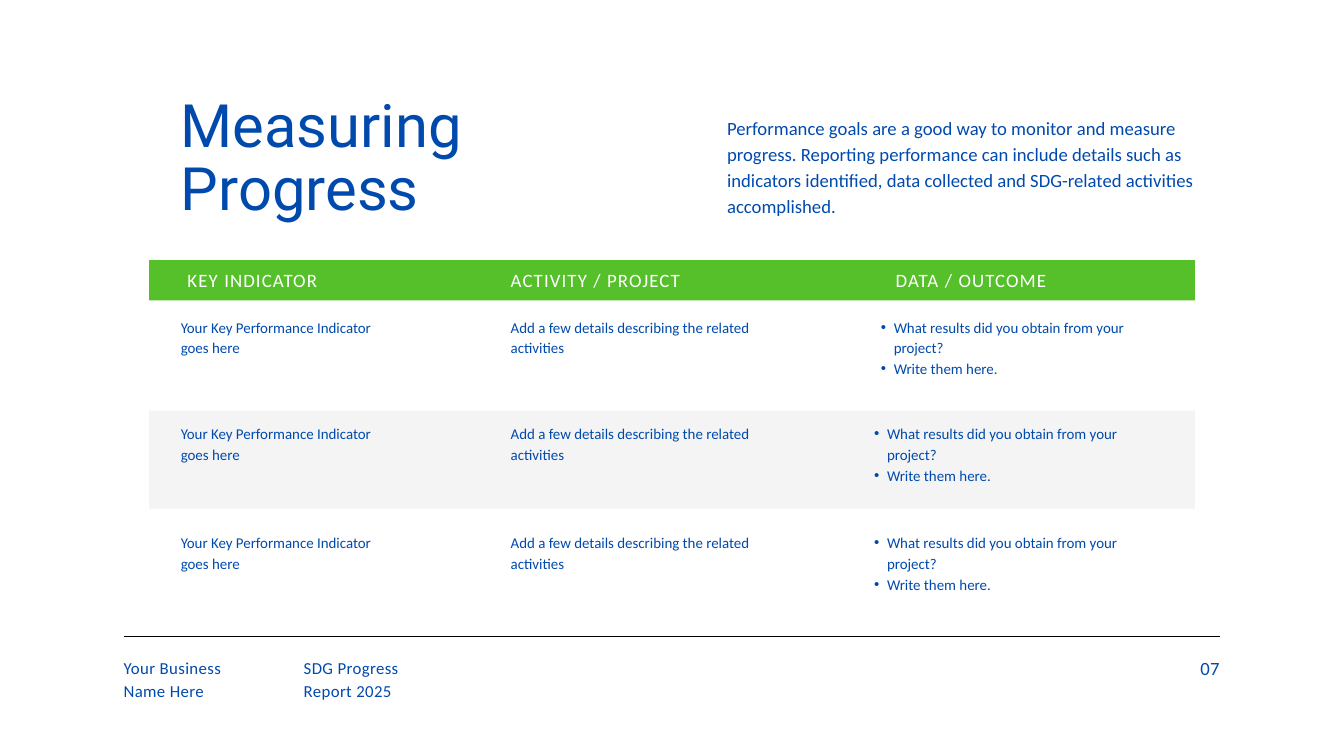
"""Build the Measuring Progress slide with its indicator rows and footer."""
from dataclasses import dataclass

from lxml.etree import SubElement
from pptx import Presentation
from pptx.dml.color import RGBColor
from pptx.enum.shapes import MSO_CONNECTOR, MSO_SHAPE
from pptx.enum.text import MSO_ANCHOR, MSO_AUTO_SIZE, PP_ALIGN
from pptx.oxml.ns import qn
from pptx.util import Inches, Pt


@dataclass(frozen=True)
class TextStyle:
    size: float
    leading: float
    color: str = "004AAD"
    font: str = "Calibri"
    tracking: float = 0


@dataclass(frozen=True)
class Theme:
    green: str = "56C02B"
    band: str = "F4F4F4"
    rule: str = "000000"
    title: TextStyle = TextStyle(64, 67.2, font="Roboto")
    intro: TextStyle = TextStyle(20, 28)
    header: TextStyle = TextStyle(20.2, 28.2, "FFFFFF", tracking=1.2)
    body: TextStyle = TextStyle(16, 22.4)
    footer: TextStyle = TextStyle(18, 25.2, tracking=0.4)
    number: TextStyle = TextStyle(20, 28, tracking=0.4)


theme = Theme()
presentation = Presentation()
presentation.slide_width = Inches(20)
presentation.slide_height = Inches(11.25)
slide = presentation.slides.add_slide(presentation.slide_layouts[5])
column = presentation.slide_width / 100
row = presentation.slide_height / 100


def place(left, top, width, height):
    """Turn percentages of the slide into lengths."""
    return round(left * column), round(top * row), round(width * column), round(height * row)


def write(shape, lines, style, align=PP_ALIGN.LEFT, bullets=False):
    """Fill a shape with one styled paragraph per line."""
    frame = shape.text_frame
    frame.word_wrap = True
    frame.auto_size = MSO_AUTO_SIZE.NONE
    frame.vertical_anchor = MSO_ANCHOR.TOP
    frame.margin_left = frame.margin_top = frame.margin_right = frame.margin_bottom = 0
    for index, line in enumerate(lines):
        paragraph = frame.add_paragraph() if index else frame.paragraphs[0]
        paragraph.alignment = align
        paragraph.line_spacing = Pt(style.leading)
        if bullets:
            paragraph.level = 1
            properties = paragraph._p.get_or_add_pPr()
            properties.set("marL", str(Inches(0.38)))
            properties.set("indent", str(Inches(-0.19)))
            SubElement(properties, qn("a:buFont")).set("typeface", "Arial")
            SubElement(properties, qn("a:buChar")).set("char", "•")
        run = paragraph.add_run()
        run.text = line
        run.font.name = style.font
        run.font.size = Pt(style.size)
        run.font.color.rgb = RGBColor.from_string(style.color)
        if style.tracking:
            run._r.get_or_add_rPr().set("spc", str(round(style.tracking * 100)))


for top, height, color in [(34.4, 5.33, theme.green), (54.31, 12.98, theme.band)]:
    bar = slide.shapes.add_shape(MSO_SHAPE.RECTANGLE, *place(11.1, top, 77.8, height))
    bar.shadow.inherit = False
    bar.fill.solid()
    bar.fill.fore_color.rgb = RGBColor.from_string(color)
    bar.line.fill.background()

title = slide.shapes.title
title.left, title.top, title.width, title.height = place(13.45, 12.8, 38.5, 18.04)
write(title, ["Measuring", "Progress"], theme.title)

intro = slide.shapes.add_textbox(*place(54.1, 14.93, 34.85, 13.69))
write(intro, [
    "Performance goals are a good way to monitor and measure progress. "
    "Reporting performance can include details such as indicators identified, "
    "data collected and SDG-related activities accomplished."
], theme.intro)

for left, width, heading in [
    (13.95, 15.85, "KEY INDICATOR"),
    (38, 16.15, "ACTIVITY / PROJECT"),
    (66.65, 14.15, "DATA / OUTCOME"),
]:
    header = slide.shapes.add_textbox(*place(left, 35.11, width, 3.38))
    write(header, [heading], theme.header)

for top, outcome_left, outcome_width in [(41.69, 64.6, 21.9), (55.73, 64.1, 21.5), (70.22, 64.1, 21.5)]:
    indicator = slide.shapes.add_textbox(*place(13.45, top, 14.5, 5.33))
    write(indicator, ["Your Key Performance Indicator goes here"], theme.body)
    activity = slide.shapes.add_textbox(*place(38, top, 18.95, 5.33))
    write(activity, ["Add a few details describing the related activities"], theme.body)
    outcome = slide.shapes.add_textbox(*place(outcome_left, top, outcome_width, 8))
    write(outcome, ["What results did you obtain from your project?", "Write them here."],
          theme.body, bullets=True)

left, top, width, _ = place(9.2, 84.18, 81.6, 0)
rule = slide.shapes.add_connector(MSO_CONNECTOR.STRAIGHT, left, top, left + width, top)
rule.line.color.rgb = RGBColor.from_string(theme.rule)
rule.line.width = Pt(0.75)
SubElement(rule._element.spPr, qn("a:effectLst"))

for left, width, lines in [
    (9.2, 11.35, ["Your Business", "Name Here"]),
    (22.6, 9.95, ["SDG Progress", "Report 2025"]),
]:
    footer = slide.shapes.add_textbox(*place(left, 86.49, width, 6.04))
    write(footer, lines, theme.footer)

page_number = slide.shapes.add_textbox(*place(80.8, 86.4, 9.95, 3.38))
write(page_number, ["07"], theme.number, PP_ALIGN.RIGHT)

presentation.save("out.pptx")
